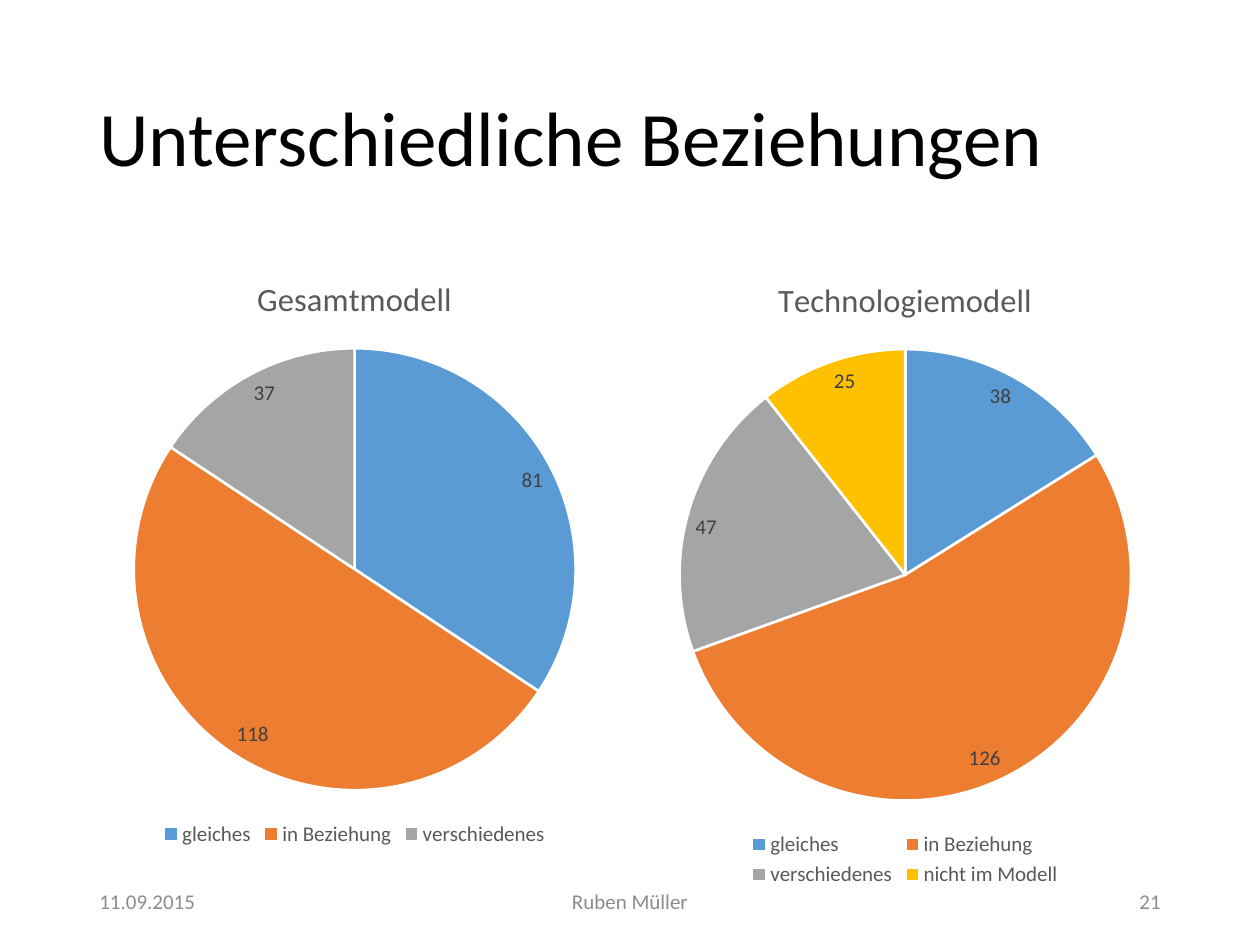
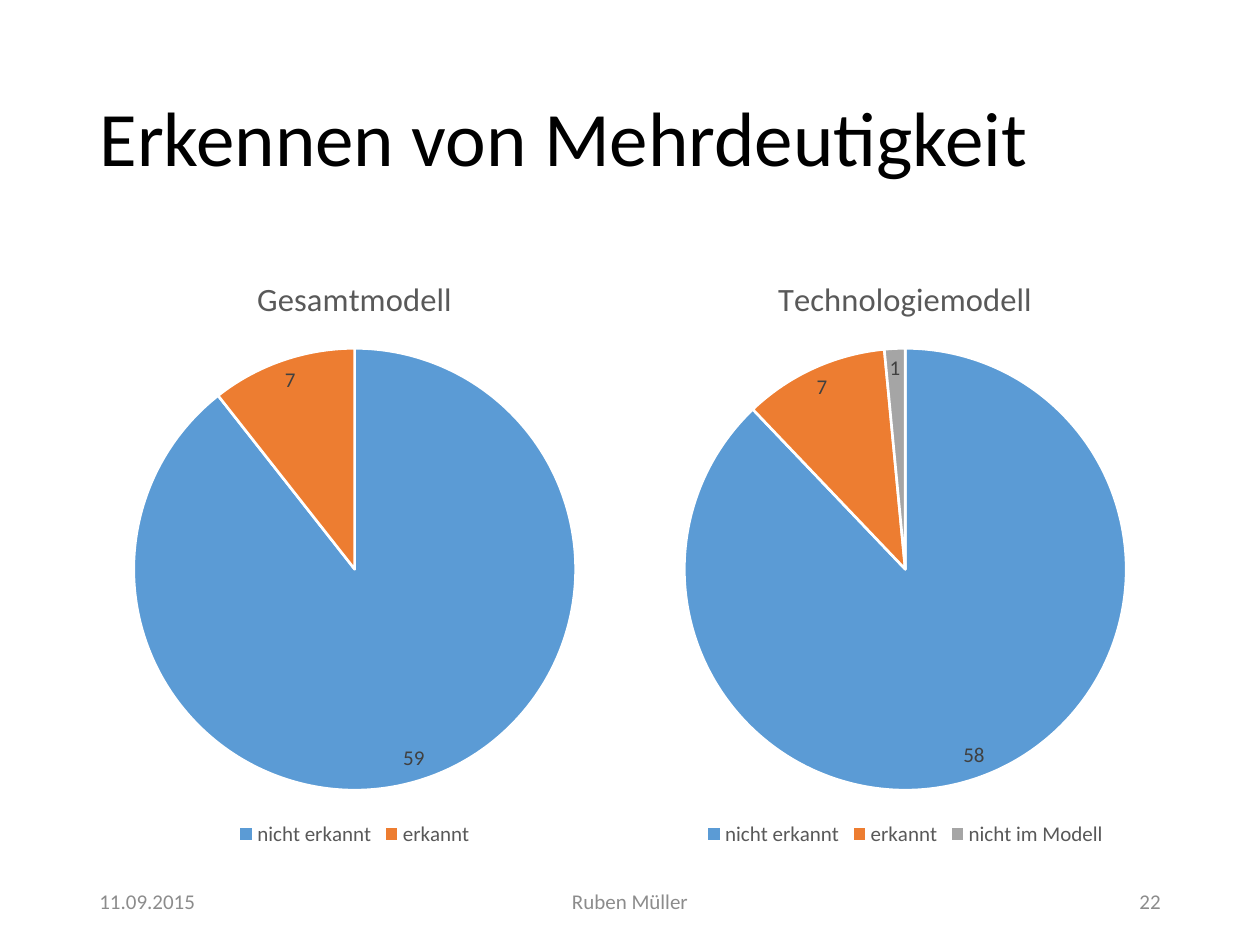
from pptx import Presentation
from pptx.chart.data import CategoryChartData
from pptx.dml.color import RGBColor
from pptx.enum.chart import XL_CHART_TYPE, XL_LABEL_POSITION, XL_LEGEND_POSITION
from pptx.enum.text import MSO_ANCHOR, PP_ALIGN
from pptx.util import Inches, Pt

PIE = XL_CHART_TYPE.PIE
INSIDE_END = XL_LABEL_POSITION.INSIDE_END
BOTTOM = XL_LEGEND_POSITION.BOTTOM
MIDDLE = MSO_ANCHOR.MIDDLE
LEFT, CENTER, RIGHT = PP_ALIGN.LEFT, PP_ALIGN.CENTER, PP_ALIGN.RIGHT

FONT = "Calibri"
BLACK, WHITE = "000000", "FFFFFF"
CHART_TEXT, LABEL_TEXT, FOOTER_TEXT = "595959", "404040", "8C8C8C"
SLICE_COLORS = ["5B9BD5", "ED7D31", "A5A5A5", "FFC000"]
MARGIN, CHART_WIDTH, CHART_GAP, CHART_TOP = 0.69, 4.25, 0.12, 2
DATE, AUTHOR, FIRST_NUMBER = "11.09.2015", "Ruben Müller", 21

SLIDES = [
    ("Unterschiedliche Beziehungen", [
        ("Gesamtmodell", 4.76,
         {"gleiches": 81, "in Beziehung": 118, "verschiedenes": 37}),
        ("Technologiemodell", 5.08,
         {"gleiches": 38, "in Beziehung": 126, "verschiedenes": 47,
          "nicht im Modell": 25}),
    ]),
    ("Erkennen von Mehrdeutigkeit", [
        ("Gesamtmodell", 4.76, {"nicht erkannt": 59, "erkannt": 7}),
        ("Technologiemodell", 4.76,
         {"nicht erkannt": 58, "erkannt": 7, "nicht im Modell": 1}),
    ]),
]


def color(value):
    return RGBColor.from_string(value)


class Deck:
    """Hold the shared style and the slide being built."""

    def __init__(self):
        self.presentation = Presentation()
        self.presentation.slide_width = Inches(10)
        self.presentation.slide_height = Inches(7.5)
        self.slide = None

    def style_font(self, font, size, font_color):
        font.name = FONT
        font.size = Pt(size)
        font.bold = False
        font.color.rgb = color(font_color)

    def set_text(self, shape, text, size, font_color, alignment):
        text_frame = shape.text_frame
        text_frame.text = text
        text_frame.word_wrap = True
        text_frame.vertical_anchor = MIDDLE
        paragraph = text_frame.paragraphs[0]
        paragraph.alignment = alignment
        self.style_font(paragraph.runs[0].font, size, font_color)
        return paragraph

    def add_slide(self, title):
        layout = self.presentation.slide_layouts.get_by_name("Title Only")
        self.slide = self.presentation.slides.add_slide(layout)
        shape = self.slide.shapes.title
        shape.left, shape.top = Inches(MARGIN), Inches(0.4)
        shape.width, shape.height = Inches(8.62), Inches(1.45)
        self.set_text(shape, title, 44, BLACK, LEFT).line_spacing = 0.9

    def add_pie(self, title, left, height, counts):
        data = CategoryChartData()
        data.categories = list(counts)
        data.add_series(title, list(counts.values()))
        chart = self.slide.shapes.add_chart(
            PIE, Inches(left), Inches(CHART_TOP), Inches(CHART_WIDTH),
            Inches(height), data).chart
        self.style_font(chart.font, 10, BLACK)

        chart.has_title = True
        title_frame = chart.chart_title.text_frame
        title_frame.text = title
        self.style_font(title_frame.paragraphs[0].runs[0].font, 18.6, CHART_TEXT)
        chart.chart_title.include_in_layout = False

        chart.has_legend = True
        chart.legend.position = BOTTOM
        chart.legend.include_in_layout = False
        self.style_font(chart.legend.font, 12, CHART_TEXT)

        plot = chart.plots[0]
        plot.vary_by_categories = True
        series = plot.series[0]
        for index, slice_color in enumerate(SLICE_COLORS[:len(counts)]):
            slice_format = series.points[index].format
            slice_format.fill.solid()
            slice_format.fill.fore_color.rgb = color(slice_color)
            slice_format.line.color.rgb = color(WHITE)
            slice_format.line.width = Pt(1.5)

        labels = series.data_labels
        labels.show_value = True
        labels.position = INSIDE_END
        self.style_font(labels.font, 12, LABEL_TEXT)

    def add_footer(self, number):
        for text, left, width, alignment in (
                (DATE, MARGIN, 2.25, LEFT),
                (AUTHOR, 3.31, 3.38, CENTER),
                (str(number), 7.06, 2.25, RIGHT)):
            shape = self.slide.shapes.add_textbox(
                Inches(left), Inches(6.95), Inches(width), Inches(0.4))
            self.set_text(shape, text, 12, FOOTER_TEXT, alignment)


def main():
    deck = Deck()
    for number, (title, pies) in enumerate(SLIDES, FIRST_NUMBER):
        deck.add_slide(title)
        for column, (model, height, counts) in enumerate(pies):
            left = MARGIN + column * (CHART_WIDTH + CHART_GAP)
            deck.add_pie(model, left, height, counts)
        deck.add_footer(number)
    deck.presentation.save("out.pptx")


if __name__ == "__main__":
    main()
